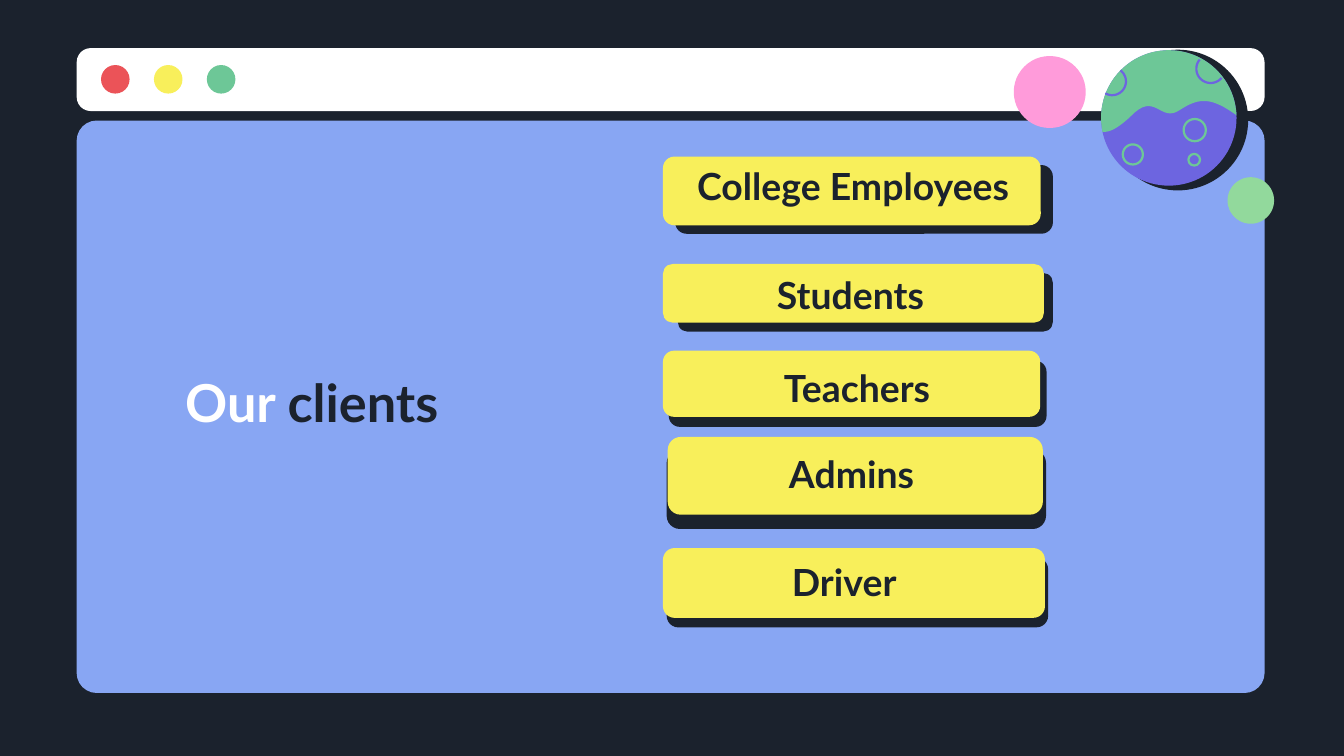
"""Build the "Our clients" slide: a browser window, five client cards and a planet."""
from dataclasses import dataclass
from math import cos, radians, sin
from typing import NamedTuple

from pptx import Presentation
from pptx.dml.color import RGBColor
from pptx.enum.shapes import MSO_SHAPE
from pptx.enum.text import MSO_ANCHOR, MSO_AUTO_SIZE, PP_ALIGN
from pptx.util import Cm, Pt

OVAL = MSO_SHAPE.OVAL
ROUNDED = MSO_SHAPE.ROUNDED_RECTANGLE
MIDDLE = MSO_ANCHOR.MIDDLE
NO_AUTOFIT = MSO_AUTO_SIZE.NONE
LEFT, CENTER = PP_ALIGN.LEFT, PP_ALIGN.CENTER


@dataclass(frozen=True)
class Theme:
    """Colours, font and sizes of the slide."""
    ink: str = "1B222D"
    white: str = "FFFFFF"
    panel: str = "88A6F3"
    red: str = "EB5358"
    yellow: str = "F8EF5B"
    green: str = "6DC797"
    purple: str = "6D65E0"
    moon: str = "92D99C"
    pink: str = "FF9BDA"
    font: str = "Lato"
    title_size: float = 28
    card_size: float = 20
    ring_width: float = 1.2
    card_corner: float = 0.167
    inset: float = 0.25


class Box(NamedTuple):
    """Left, top, width and height in centimetres."""
    left: float
    top: float
    width: float
    height: float

    def lengths(self) -> list:
        """Return the four sides as lengths."""
        return [Cm(side) for side in self]


class Circle(NamedTuple):
    """Centre and radius in centimetres."""
    x: float
    y: float
    radius: float

    def box(self) -> Box:
        """Return the square around the circle."""
        return Box(self.x - self.radius, self.y - self.radius, 2 * self.radius, 2 * self.radius)

    def arc(self, start: float, end: float, steps: int = 48) -> list:
        """Return points from one angle to another, in degrees clockwise."""
        angles = [radians(start + (end - start) * i / steps) for i in range(steps + 1)]
        return [(self.x + self.radius * cos(a), self.y + self.radius * sin(a)) for a in angles]


class Card(NamedTuple):
    """A client with the places of its card, shadow and label."""
    client: str
    face: Box
    shadow: Box
    label: Box


THEME = Theme()
CARDS = [
    Card("College Employees", Box(12.53, 2.96, 7.14, 1.3), Box(12.76, 3.12, 7.14, 1.3),
         Box(12.19, 2.97, 7.87, 1.07)),
    Card("Students", Box(12.53, 4.99, 7.2, 1.11), Box(12.81, 5.16, 7.09, 1.11),
         Box(12.95, 4.83, 6.25, 1.47)),
    Card("Teachers", Box(12.53, 6.63, 7.13, 1.25), Box(12.64, 6.82, 7.14, 1.25),
         Box(13.84, 6.6, 4.72, 1.47)),
    Card("Admins", Box(12.62, 8.26, 7.09, 1.47), Box(12.6, 8.5, 7.17, 1.5),
         Box(13.34, 8.26, 5.51, 1.4)),
    Card("Driver", Box(12.53, 10.36, 7.22, 1.32), Box(12.6, 10.54, 7.21, 1.32),
         Box(13.06, 10.13, 5.79, 1.73)),
]
PLANET = Circle(22.09, 2.23, 1.28)
PLANET_SHADOW = Circle(22.26, 2.27, 1.33)
SEA_RINGS = [Circle(21.41, 2.92, 0.19), Circle(22.58, 2.46, 0.21), Circle(22.57, 3.02, 0.11)]
LAND_RINGS = [(Circle(21.02, 1.54, 0.26), 120, -53), (Circle(22.88, 1.3, 0.27), 220, 40)]
COAST = [
    [(23.37, 2.18), (22.91, 1.85), (22.68, 1.83), (22.3, 2.08)],
    [(22.3, 2.08), (21.92, 2.34), (21.84, 1.7), (21.36, 2.21)],
    [(21.36, 2.21), (21.11, 2.44), (20.96, 2.51), (20.83, 2.49)],
]


def paint(shape, fill: str | None = None, line: str | None = None) -> None:
    """Set fill and line of a shape and drop its shadow."""
    shape.shadow.inherit = False
    if fill:
        shape.fill.solid()
        shape.fill.fore_color.rgb = RGBColor.from_string(fill)
    else:
        shape.fill.background()
    if line:
        shape.line.color.rgb = RGBColor.from_string(line)
        shape.line.width = Pt(THEME.ring_width)
    else:
        shape.line.fill.background()


def draw_rounded(shapes, box: Box, fill: str, corner: float) -> None:
    """Draw a rounded rectangle."""
    rectangle = shapes.add_shape(ROUNDED, *box.lengths())
    rectangle.adjustments[0] = corner
    paint(rectangle, fill)


def draw_circle(shapes, circle: Circle, fill: str | None = None, line: str | None = None) -> None:
    """Draw a disc or a ring."""
    paint(shapes.add_shape(OVAL, *circle.box().lengths()), fill, line)


def draw_outline(shapes, points: list, fill: str | None = None, line: str | None = None) -> None:
    """Draw a freeform through points, closed when it is filled."""
    (x, y), *rest = [(Cm(px), Cm(py)) for px, py in points]
    builder = shapes.build_freeform(x, y)
    builder.add_line_segments(rest, close=bool(fill))
    paint(builder.convert_to_shape(), fill, line)


def curve(start: tuple, pull: tuple, push: tuple, end: tuple, steps: int = 16) -> list:
    """Return points along a cubic curve."""
    return [tuple((1 - t) ** 3 * a + 3 * (1 - t) ** 2 * t * b + 3 * (1 - t) * t ** 2 * c + t ** 3 * d
                  for a, b, c, d in zip(start, pull, push, end))
            for t in (i / steps for i in range(steps + 1))]


def write_text(shape, runs: list, *, size: float, align: PP_ALIGN) -> None:
    """Write bold coloured runs into a shape as one paragraph."""
    frame = shape.text_frame
    frame.word_wrap = True
    frame.auto_size = NO_AUTOFIT
    frame.vertical_anchor = MIDDLE
    frame.margin_left = frame.margin_right = Cm(THEME.inset)
    frame.margin_top = frame.margin_bottom = Cm(THEME.inset)
    paragraph = frame.paragraphs[0]
    paragraph.alignment = align
    for words, color in runs:
        run = paragraph.add_run()
        run.text = words
        run.font.name = THEME.font
        run.font.size = Pt(size)
        run.font.bold = True
        run.font.color.rgb = RGBColor.from_string(color)


def draw_window(shapes) -> None:
    """Draw the browser window with its three buttons."""
    draw_rounded(shapes, Box(1.45, 2.28, 22.45, 10.82), THEME.panel, 0.035)
    draw_rounded(shapes, Box(1.45, 0.91, 22.45, 1.19), THEME.white, 0.223)
    for index, color in enumerate((THEME.red, THEME.yellow, THEME.green)):
        draw_circle(shapes, Circle(2.18 + index, 1.5, 0.27), color)


def draw_planet(shapes) -> None:
    """Draw the planet with its rings and two moons."""
    draw_circle(shapes, PLANET_SHADOW, THEME.ink)
    draw_circle(shapes, PLANET, THEME.purple)
    coast = [point for piece in COAST for point in curve(*piece)]
    draw_outline(shapes, coast + PLANET.arc(168, 358), THEME.green)
    for ring in SEA_RINGS:
        draw_circle(shapes, ring, line=THEME.green)
    for ring, start, end in LAND_RINGS:
        draw_outline(shapes, ring.arc(start, end), line=THEME.purple)
    draw_circle(shapes, Circle(23.64, 3.79, 0.44), THEME.moon)
    draw_circle(shapes, Circle(19.84, 1.74, 0.68), THEME.pink)


def draw_card(shapes, card: Card) -> None:
    """Draw a client card with its shadow and label."""
    draw_rounded(shapes, card.shadow, THEME.ink, THEME.card_corner)
    draw_rounded(shapes, card.face, THEME.yellow, THEME.card_corner)
    label = shapes.add_textbox(*card.label.lengths())
    write_text(label, [(card.client, THEME.ink)], size=THEME.card_size, align=CENTER)


def main() -> None:
    """Build and save the presentation."""
    deck = Presentation()
    deck.slide_width, deck.slide_height = Cm(25.4), Cm(14.29)
    slide = deck.slides.add_slide(deck.slide_layouts[5])
    slide.background.fill.solid()
    slide.background.fill.fore_color.rgb = RGBColor.from_string(THEME.ink)
    shapes = slide.shapes
    draw_window(shapes)
    draw_planet(shapes)
    for card in CARDS:
        draw_card(shapes, card)
    title = shapes.title
    title.left, title.top, title.width, title.height = Box(3.25, 6.81, 6.86, 1.57).lengths()
    write_text(title, [("Our ", THEME.white), ("clients", THEME.ink)],
               size=THEME.title_size, align=LEFT)
    shapes._spTree.append(title._element)
    deck.save("out.pptx")


if __name__ == "__main__":
    main()
